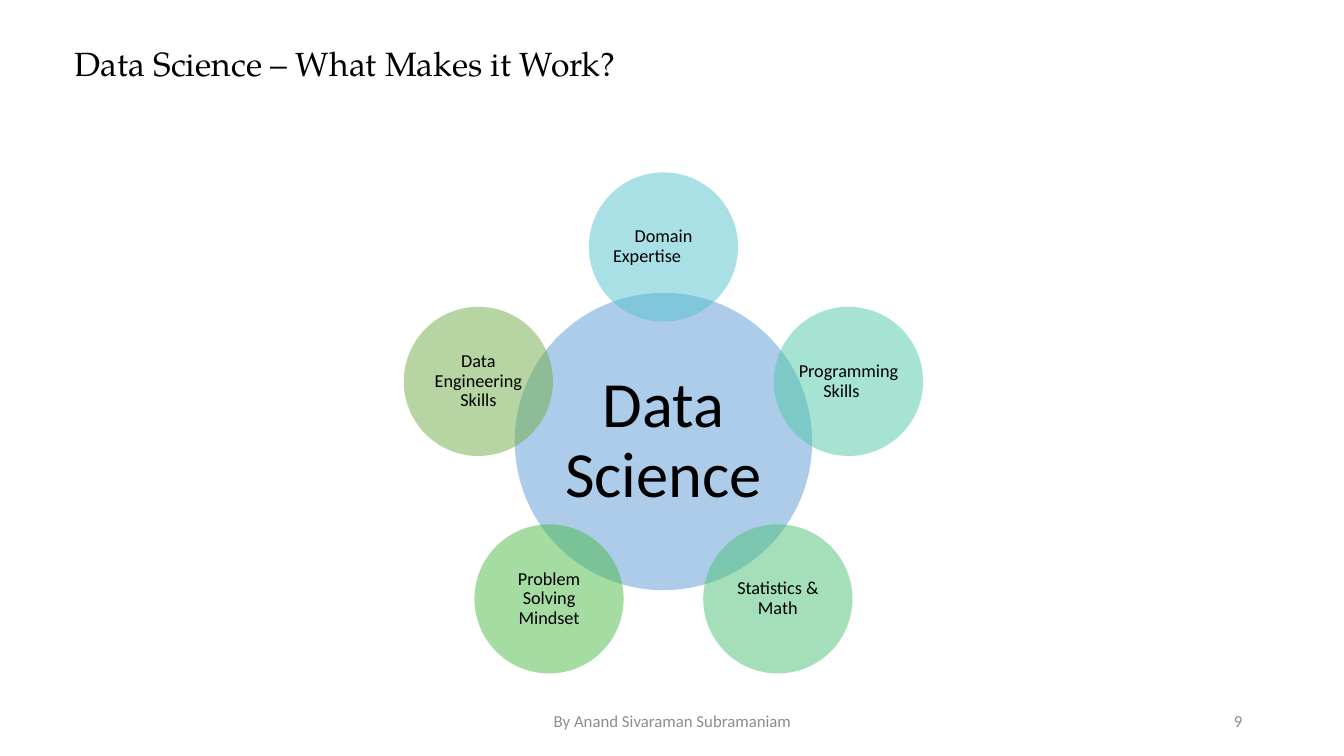
from math import cos, radians, sin

from lxml.etree import SubElement
from pptx import Presentation
from pptx.dml.color import RGBColor
from pptx.enum.shapes import MSO_SHAPE as Preset
from pptx.enum.text import MSO_ANCHOR as Anchor, PP_ALIGN as Align
from pptx.oxml.ns import qn
from pptx.util import Emu, Pt

BLACK = RGBColor(0x00, 0x00, 0x00)
GRAY = RGBColor(0x8C, 0x8C, 0x8C)
BLUE = RGBColor(0x5B, 0x9B, 0xD5)
CYAN = RGBColor(0x55, 0xC3, 0xCF)
TEAL = RGBColor(0x50, 0xC8, 0xA7)
MINT = RGBColor(0x4B, 0xC1, 0x74)
GREEN = RGBColor(0x4A, 0xBA, 0x46)
OLIVE = RGBColor(0x70, 0xAD, 0x47)

TITLE_FONT = "TeX Gyre Pagella"
BODY_FONT = "Calibri"

TITLE = "Data Science – What Makes it Work?"
HUB = "Data Science"
SKILLS = [
    ("Domain Expertise\t", CYAN),
    ("Programming Skills\t", TEAL),
    ("Statistics & Math", MINT),
    ("Problem Solving Mindset", GREEN),
    ("Data Engineering Skills", OLIVE),
]
FOOTER = "By Anand Sivaraman Subramaniam"
PAGE_NUMBER = "9"

EMU_PER_PX = 9144
SLIDE_SIZE = (1333, 750)
CENTER_X, CENTER_Y = 658, 438
HUB_DIAMETER, SKILL_DIAMETER = 295, 148
RING_RADIUS = 193


def px(length):
    return Emu(round(length * EMU_PER_PX))


def write(shape, text, size, font=BODY_FONT, color=BLACK, align=Align.LEFT, spacing=1.0):
    frame = shape.text_frame
    frame.word_wrap = True
    frame.vertical_anchor = Anchor.MIDDLE
    paragraph = frame.paragraphs[0]
    paragraph.alignment = align
    paragraph.line_spacing = spacing
    run = paragraph.add_run()
    run.text = text
    run.font.size = Pt(size)
    run.font.name = font
    run.font.color.rgb = color


def add_label(slide, box, text, size, **style):
    write(slide.shapes.add_textbox(*map(px, box)), text, size, **style)


def add_circle(slide, center_x, center_y, diameter, color, text, size, inset):
    left, top = center_x - diameter / 2, center_y - diameter / 2
    circle = slide.shapes.add_shape(
        Preset.OVAL, px(left), px(top), px(diameter), px(diameter))
    circle.shadow.inherit = False
    circle.line.fill.background()
    circle.fill.solid()
    circle.fill.fore_color.rgb = color
    fill_color = circle.fill._xPr.find(qn("a:solidFill"))[0]
    SubElement(fill_color, qn("a:alpha"), val="50000")
    frame = circle.text_frame
    frame.margin_left = frame.margin_right = px(inset)
    frame.margin_top = frame.margin_bottom = px(inset)
    write(circle, text, size, align=Align.CENTER, spacing=0.9)


def main():
    presentation = Presentation()
    presentation.slide_width, presentation.slide_height = map(px, SLIDE_SIZE)
    slide = presentation.slides.add_slide(presentation.slide_layouts[6])

    add_label(slide, (64, 37, 1150, 57), TITLE, 24, font=TITLE_FONT, spacing=0.9)

    add_circle(slide, CENTER_X, CENTER_Y, HUB_DIAMETER, BLUE, HUB, 46, 6)
    for index, (skill, color) in enumerate(SKILLS):
        angle = radians(360 * index / len(SKILLS))
        add_circle(slide, CENTER_X + RING_RADIUS * sin(angle),
                   CENTER_Y - RING_RADIUS * cos(angle),
                   SKILL_DIAMETER, color, skill, 13, 2)

    add_label(slide, (442, 695, 450, 40), FOOTER, 12, color=GRAY, align=Align.CENTER)
    add_label(slide, (942, 695, 300, 40), PAGE_NUMBER, 12, color=GRAY, align=Align.RIGHT)

    presentation.save("out.pptx")


if __name__ == "__main__":
    main()
